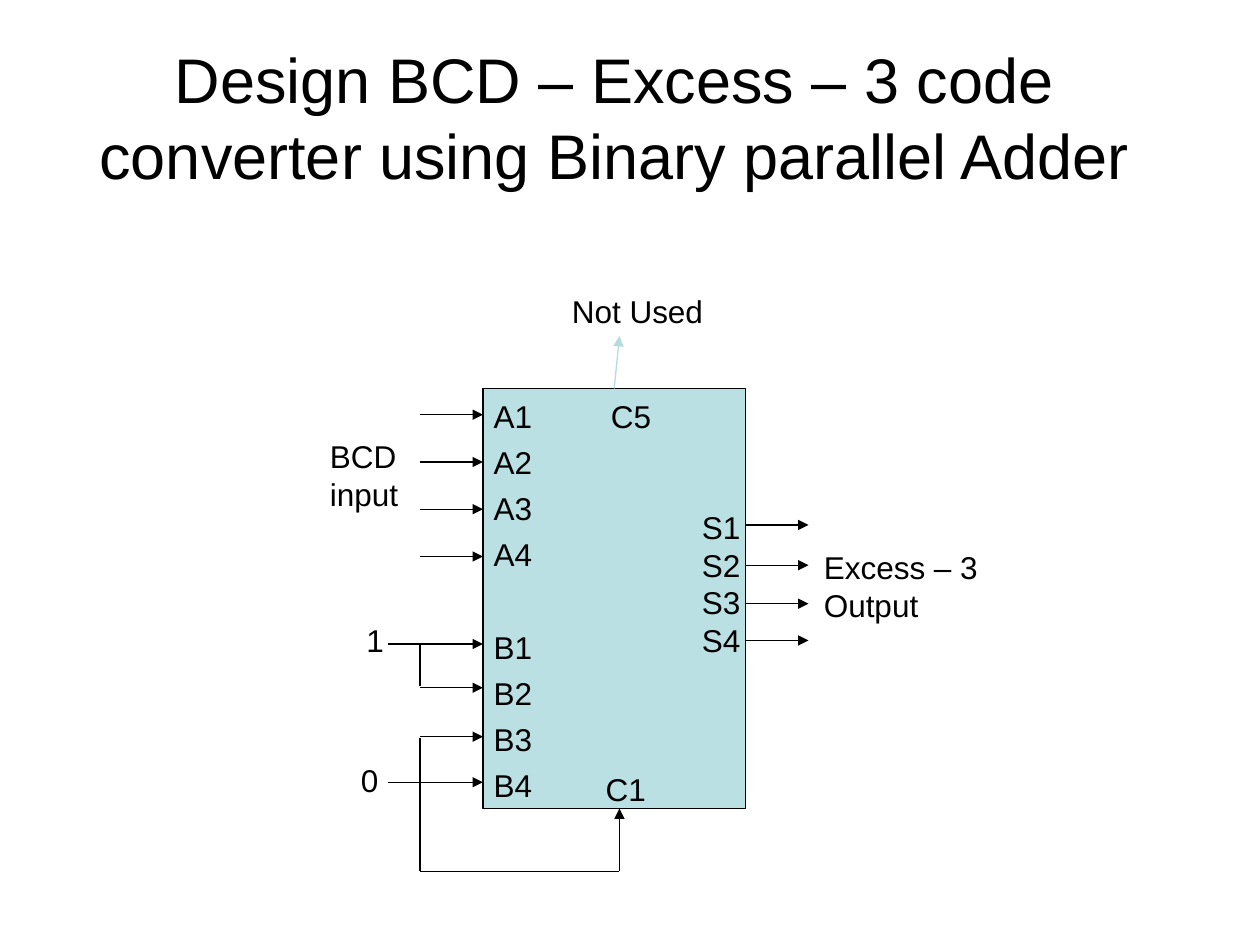
from pptx import Presentation
from pptx.dml.color import RGBColor
from pptx.enum import shapes as sh, text as tx
from pptx.oxml import parse_xml
from pptx.oxml.ns import nsdecls
from pptx.util import Pt

BLACK = RGBColor(0x00, 0x00, 0x00)
TEAL = RGBColor(0xBB, 0xE0, 0xE3)
PALE = RGBColor(0xB6, 0xDC, 0xDF)


def add_text(slide, box, lines, size=18, wrap=False):
    """Place one paragraph per line and return the text frame."""
    frame = slide.shapes.add_textbox(*map(Pt, box)).text_frame
    frame.word_wrap = wrap
    if not wrap:
        frame.auto_size = tx.MSO_AUTO_SIZE.SHAPE_TO_FIT_TEXT
    for i, line in enumerate(lines):
        para = frame.paragraphs[0] if i == 0 else frame.add_paragraph()
        para.text = line
        para.font.size = Pt(size)
        para.font.name = "Arial"
        para.font.color.rgb = BLACK
    return frame


def add_wire(slide, start, end, head=True, color=BLACK):
    wire = slide.shapes.add_connector(
        sh.MSO_CONNECTOR.STRAIGHT, *map(Pt, (*start, *end)))
    wire.line.color.rgb = color
    wire.line.width = Pt(0.75)
    if head:
        wire.line._get_or_add_ln().append(
            parse_xml(f'<a:tailEnd {nsdecls("a")} type="triangle"/>'))
    wire._element.spPr.append(parse_xml(f'<a:effectLst {nsdecls("a")}/>'))


def add_title(slide, box):
    frame = add_text(
        slide, box,
        ["Design BCD – Excess – 3 code converter using Binary parallel Adder"],
        size=36, wrap=True)
    frame.vertical_anchor = tx.MSO_ANCHOR.MIDDLE
    frame.paragraphs[0].alignment = tx.PP_ALIGN.CENTER


def add_block(slide, box):
    """Draw the adder body and its pin names."""
    x, y, w, h = box
    body = slide.shapes.add_shape(sh.MSO_SHAPE.RECTANGLE, *map(Pt, box))
    body.shadow.inherit = False
    body.fill.solid()
    body.fill.fore_color.rgb = TEAL
    body.line.color.rgb = BLACK
    body.line.width = Pt(0.75)

    names = [bank + str(n) for bank in "AB" for n in range(1, 5)]
    pins = add_text(slide, (x - 1, y + 7, 42, 260), names, wrap=True)
    for i, para in enumerate(pins.paragraphs):
        para.line_spacing = 0.7
        if i:
            para.space_before = Pt(38 if names[i] == "B1" else 11.2)
    add_text(slide, (x + w - 32, y + 64.6, 36.5, 115),
             [f"S{n}" for n in range(1, 5)])
    add_text(slide, (x + 66, y + 1.2, 37.5, 29), ["C5"])
    add_text(slide, (x + 63, y + h - 25.7, 37.5, 29), ["C1"])


def add_wires(slide, box):
    x, y, w, h = box
    bend, far, carry, low = x - 36, x - 54, x + 78, y + h + 36
    ins = [(bend, 15 + 27 * i) for i in range(4)]
    ins += [(far, 146), (bend, 171), (bend, 199), (far, 225)]
    for left, dy in ins:
        add_wire(slide, (left, y + dy), (x, y + dy))
    for dy in (78, 101, 123, 144):
        add_wire(slide, (x + w, y + dy), (x + w + 36, y + dy))

    add_wire(slide, (bend, y + 146), (bend, y + 170), head=False)
    add_wire(slide, (bend, y + 200), (bend, low), head=False)
    add_wire(slide, (bend, low), (carry, low), head=False)
    add_wire(slide, (carry, low), (carry, y + h))
    add_wire(slide, (x + 75, y), (carry, y - 30), color=PALE)


def add_labels(slide, box):
    x, y, w, h = box
    add_text(slide, (x + w + 37.7, y + 87.6, 102.5, 50),
             ["Excess – 3", "Output"])
    add_text(slide, (x - 94.6, y + 24.2, 58.5, 50), ["BCD\vinput"])
    add_text(slide, (x + 43.7, y - 58.6, 94.5, 29), ["Not Used"])
    add_text(slide, (x - 73.7, y + 129.4, 24.5, 29), ["1"])
    add_text(slide, (x - 76.8, y + 209.3, 24.5, 29), ["0"])


def main():
    deck = Presentation()
    deck.slide_width, deck.slide_height = Pt(720), Pt(540)
    slide = deck.slides.add_slide(deck.slide_layouts[6])
    add_title(slide, (18, 21.6, 666, 90))
    adder = (276, 222, 150, 240)
    for draw in (add_block, add_wires, add_labels):
        draw(slide, adder)
    deck.save("out.pptx")


if __name__ == "__main__":
    main()
